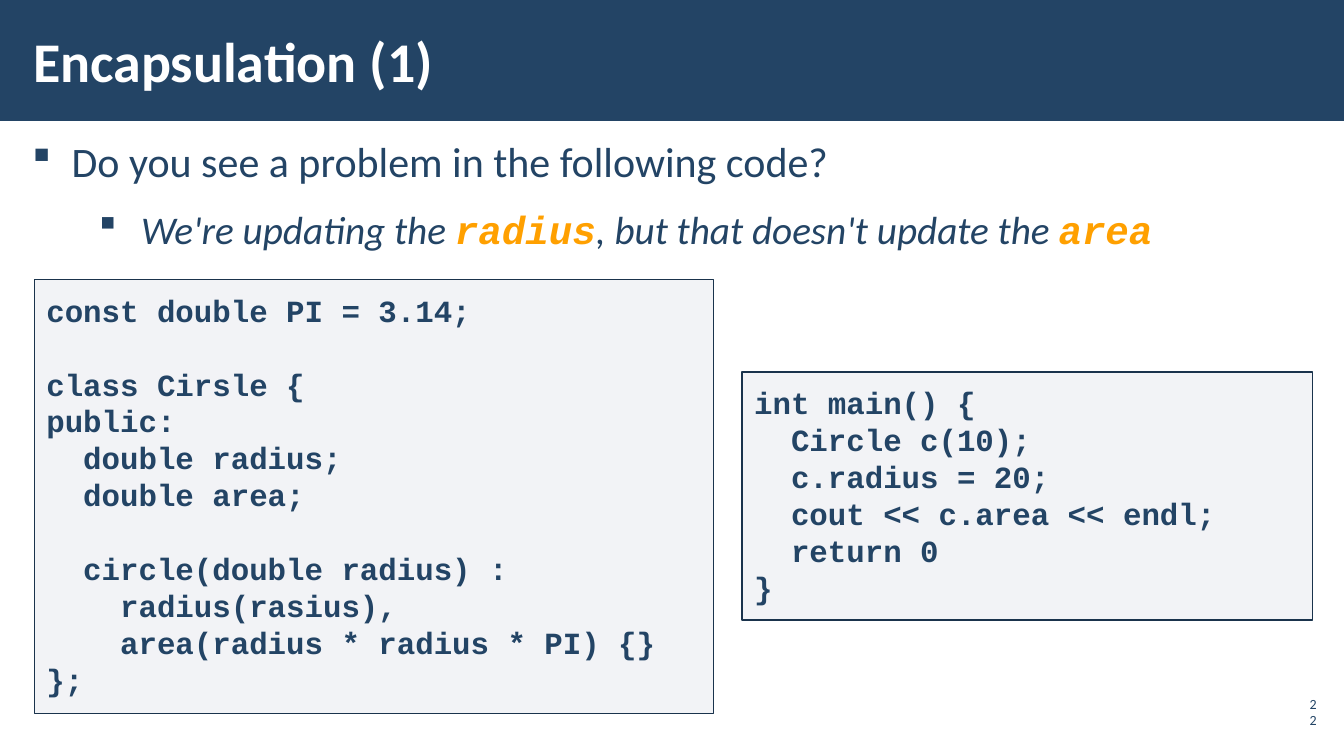
import pptx
import pptx.util
import pptx.dml.color
import pptx.enum.shapes
import pptx.enum.text
import lxml.etree

Inches = pptx.util.Inches
Pt = pptx.util.Pt
RGB = pptx.dml.color.RGBColor
ALIGN = pptx.enum.text.PP_ALIGN
ANCHOR = pptx.enum.text.MSO_ANCHOR
RECT = pptx.enum.shapes.MSO_SHAPE.RECTANGLE

NAVY = RGB(0x23, 0x44, 0x65)
WHITE = RGB(0xFF, 0xFF, 0xFF)
AMBER = RGB(0xFF, 0xA0, 0x00)
GREY = RGB(0xAD, 0xB4, 0xC3)
EDGE = RGB(0x1A, 0x33, 0x4C)

HEAD = dict(name="Calibri", size=Pt(40), bold=True, color=WHITE)
LEAD = dict(name="Calibri", size=Pt(30), color=NAVY)
NOTE = dict(name="Calibri", size=Pt(28), italic=True, color=NAVY)
TERM = dict(name="Courier New", size=Pt(28), italic=True, bold=True, color=AMBER)
CODE = dict(name="Courier New", size=Pt(22), bold=True, color=NAVY)
PAGE = dict(name="Calibri", size=Pt(10), color=NAVY)

POINTS = [
    (0.39, 0.39, [("Do you see a problem in the following code?", LEAD)]),
    (1.08, 0.42, [("We're updating the ", NOTE), ("radius", TERM),
                  (", but that doesn't update the ", NOTE), ("area", TERM)]),
]

CLASS = """const double PI = 3.14;

class Cirsle {
public:
  double radius;
  double area;

  circle(double radius) :
    radius(rasius),
    area(radius * radius * PI) {}
};"""

MAIN = """int main() {
  Circle c(10);
  c.radius = 20;
  cout << c.area << endl;
  return 0
}"""


def add_run(para, text, style):
    run = para.add_run()
    run.text = text
    for key, value in style.items():
        if key == "color":
            run.font.color.rgb = value
        else:
            setattr(run.font, key, value)


def set_frame(shape, side, edge, anchor):
    frame = shape.text_frame
    form = dict(word_wrap=True, vertical_anchor=anchor,
                margin_left=Inches(side), margin_right=Inches(side),
                margin_top=Inches(edge), margin_bottom=Inches(edge))
    for key, value in form.items():
        setattr(frame, key, value)
    return frame


def add_text(slide, box, side, edge, anchor):
    shape = slide.shapes.add_textbox(*map(Inches, box))
    return set_frame(shape, side, edge, anchor)


def add_rect(slide, box, fill):
    shape = slide.shapes.add_shape(RECT, *map(Inches, box))
    shape.shadow.inherit = False
    shape.fill.solid()
    shape.fill.fore_color.rgb = fill
    shape.line.fill.background()
    return shape


def get_para(frame, index):
    return frame.add_paragraph() if index else frame.paragraphs[0]


def add_head(slide, box, text):
    left, top, width, height = box
    add_rect(slide, box, NAVY)
    inner = (left + 0.21, top + 0.11, width - 2.94, height - 0.23)
    frame = add_text(slide, inner, 0.12, 0.04, ANCHOR.MIDDLE)
    add_run(frame.paragraphs[0], text, HEAD)


def add_points(slide, box, points):
    frame = add_text(slide, box, 0.12, 0.04, ANCHOR.TOP)
    for index, (indent, hang, runs) in enumerate(points):
        para = get_para(frame, index)
        form = dict(level=index, line_spacing=1.05,
                    space_before=Pt(6), space_after=Pt(6))
        for key, value in form.items():
            setattr(para, key, value)
        for text, style in runs:
            add_run(para, text, style)
        props = para._p.get_or_add_pPr()
        props.set("marL", str(Inches(indent)))
        props.set("indent", str(-Inches(hang)))
        space = props.nsmap["a"]
        font = lxml.etree.SubElement(props, f"{{{space}}}buFont")
        font.set("typeface", "Wingdings")
        font.set("charset", "2")
        mark = lxml.etree.SubElement(props, f"{{{space}}}buChar")
        mark.set("char", "§")


def add_code(slide, box, code):
    shape = add_rect(slide, box, GREY)
    tint = shape.fill._xPr.find(".//{*}srgbClr")
    alpha = lxml.etree.SubElement(tint, f"{{{tint.nsmap['a']}}}alpha")
    alpha.set("val", "15000")
    shape.line.color.rgb = EDGE
    shape.line.width = Pt(1)
    frame = set_frame(shape, 0.12, 0.12, ANCHOR.TOP)
    pitch = Pt(26.4)
    gap = 0
    index = 0
    for line in code.split("\n"):
        if not line:
            gap += pitch
            continue
        para = get_para(frame, index)
        form = dict(alignment=ALIGN.LEFT, line_spacing=pitch, space_before=gap)
        for key, value in form.items():
            setattr(para, key, value)
        add_run(para, line, CODE)
        gap = 0
        index += 1


def add_page(slide, box, text):
    frame = add_text(slide, box, 0.1, 0.05, ANCHOR.BOTTOM)
    para = frame.paragraphs[0]
    para.alignment = ALIGN.RIGHT
    add_run(para, text, PAGE)


def main():
    deck = pptx.Presentation()
    deck.slide_width = Inches(13.33)
    deck.slide_height = Inches(7.5)
    slide = deck.slides.add_slide(deck.slide_layouts[6])
    add_head(slide, (0, 0, 13.34, 1.2), "Encapsulation (1)")
    add_points(slide, (0.2, 1.28, 12.93, 5.69), POINTS)
    add_page(slide, (12.89, 7.05, 0.24, 0.23), "22")
    add_code(slide, (0.34, 2.77, 6.74, 4.31), CLASS)
    add_code(slide, (7.36, 3.69, 5.66, 2.46), MAIN)
    deck.save("out.pptx")


if __name__ == "__main__":
    main()
